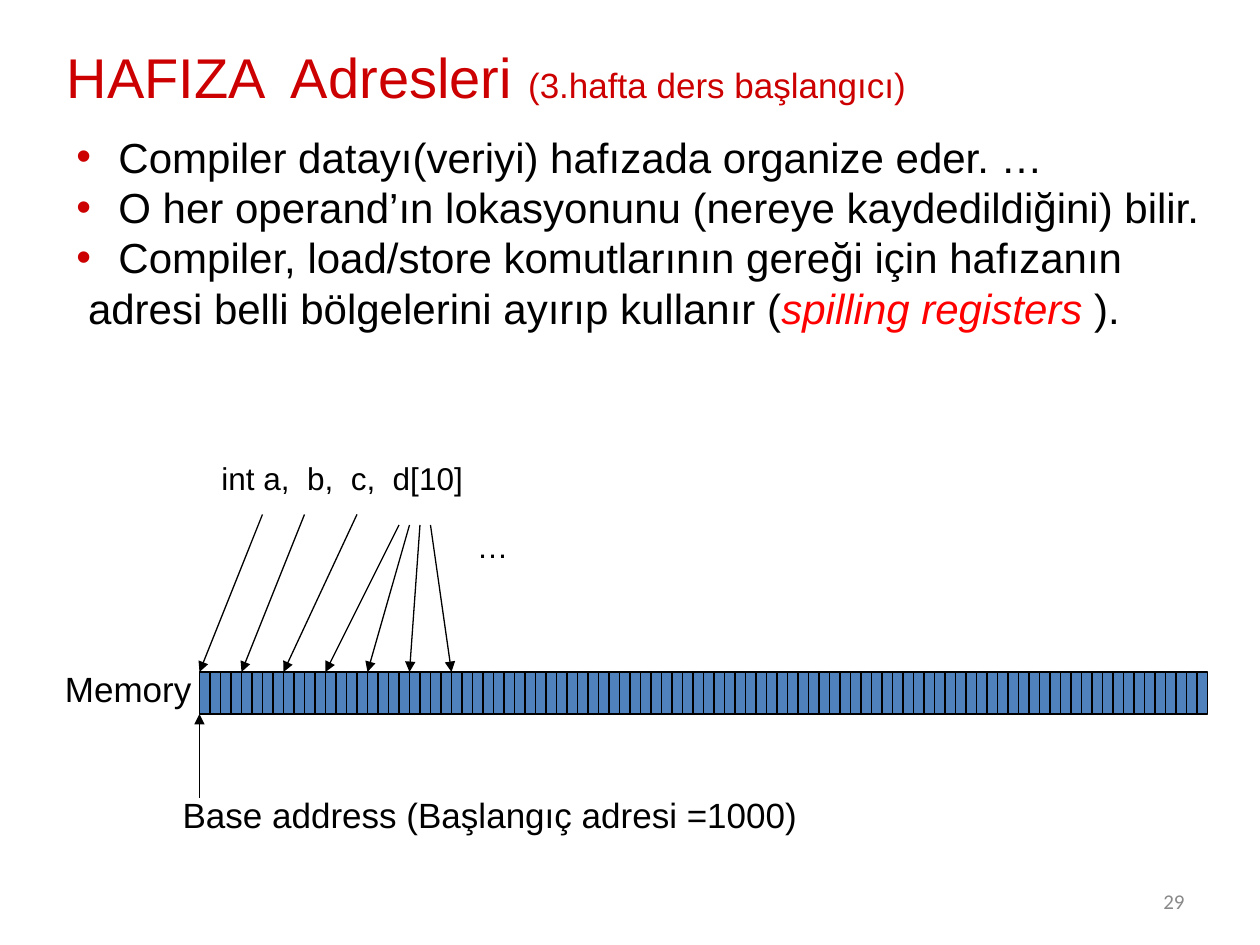
from lxml.etree import SubElement
from pptx import Presentation
from pptx.dml.color import RGBColor
from pptx.enum.shapes import MSO_CONNECTOR, MSO_SHAPE
from pptx.enum.text import MSO_ANCHOR, MSO_AUTO_SIZE, PP_ALIGN
from pptx.oxml.ns import qn
from pptx.util import Inches, Pt

COLORS = {"title": "CC0000", "text": "000000", "term": "FF0000",
          "cell": "4F81BD", "line": "000000", "number": "898989"}

# Content: a paragraph is a list of (text, size, color, italic) runs
TITLE = [("HAFIZA  Adresleri ", 32, "title", False),
         ("(3.hafta ders başlangıcı)", 20, "title", False)]
BULLETS = [
    "Compiler datayı(veriyi) hafızada organize eder. …",
    "O her operand’ın lokasyonunu (nereye kaydedildiğini) bilir.",
    "Compiler, load/store komutlarının gereği için hafızanın",
]
CONTINUATION = [("adresi belli bölgelerini ayırıp kullanır (", 24, "text", False),
                ("spilling registers ", 24, "term", True),
                (").", 24, "text", False)]

# Grid: 120 columns by 90 rows, one memory cell is one column wide
COLS, ROWS = 120, 90
UNIT = Inches(10) / COLS
BULLET_INDENT, CONTINUATION_INDENT = 4, 1.1

# Diagram labels: text, size, (left, top, width, height) on the grid
LABELS = [
    ("Memory", 20, (5, 63, 15.5, 5.25)),
    ("…", 18, (44.25, 49.6, 6, 4.85)),
    ("Base address (Başlangıç adresi =1000)", 20, (16.2, 75, 62, 5.25)),
    ("int a,  b,  c,  d[10]", 18, (19.9, 43.1, 27, 4.85)),
]

# Memory row, and where each variable's arrow starts (column, row)
MEM_LEFT, MEM_TOP, MEM_HEIGHT, MEM_CELLS = 19, 64, 4, 96
CELLS_PER_INT = 4
ARROW_STARTS = [(25, 49), (29, 49), (34, 49), (38, 50), (39, 50), (40, 50), (41, 50)]
BASE_ROW = 76


def grid(*values):
    return [round(v * UNIT) for v in values]


def rgb(name):
    return RGBColor.from_string(COLORS[name])


def add_text(s, box, paragraphs, font="Arial"):
    tf = s.shapes.add_textbox(*grid(*box)).text_frame
    tf.word_wrap = True
    tf.auto_size = MSO_AUTO_SIZE.NONE
    for i, runs in enumerate(paragraphs):
        p = tf.paragraphs[0] if i == 0 else tf.add_paragraph()
        for text, size, color, italic in runs:
            r = p.add_run()
            r.text = text
            r.font.name, r.font.size, r.font.italic = font, Pt(size), italic
            r.font.color.rgb = rgb(color)
    return tf


def indent(p, margin, bullet=False):
    pPr = p._p.get_or_add_pPr()
    width, = grid(margin)
    pPr.set("marL", str(width))
    pPr.set("indent", str(-width if bullet else 0))
    if bullet:
        clr = SubElement(pPr, qn("a:buClr"))
        SubElement(clr, qn("a:srgbClr")).set("val", COLORS["title"])
        SubElement(pPr, qn("a:buFont")).set("typeface", "Arial")
        SubElement(pPr, qn("a:buChar")).set("char", "•")


def add_arrow(s, start, end):
    line = s.shapes.add_connector(MSO_CONNECTOR.STRAIGHT, *grid(*start, *end))
    line.line.color.rgb = rgb("line")
    line.line.width = Pt(0.75)
    SubElement(line.line._get_or_add_ln(), qn("a:tailEnd")).set("type", "triangle")
    SubElement(line._element.spPr, qn("a:effectLst"))


def main():
    prs = Presentation()
    prs.slide_width, prs.slide_height = grid(COLS, ROWS)
    s = prs.slides.add_slide(prs.slide_layouts[6])

    # Title and bullets
    add_text(s, (5.2, 3.5, 85, 7.7), [TITLE])
    body = [[(text, 24, "text", False)] for text in BULLETS] + [CONTINUATION]
    tf = add_text(s, (6.1, 11.9, 111, 20.4), body)
    for p in tf.paragraphs[:-1]:
        indent(p, BULLET_INDENT, bullet=True)
    indent(tf.paragraphs[-1], CONTINUATION_INDENT)

    # Memory cells
    for i in range(MEM_CELLS):
        sp = s.shapes.add_shape(MSO_SHAPE.RECTANGLE,
                                *grid(MEM_LEFT + i, MEM_TOP, 1, MEM_HEIGHT))
        sp.shadow.inherit = False
        sp.fill.solid()
        sp.fill.fore_color.rgb = rgb("cell")
        sp.line.color.rgb = rgb("line")
        sp.line.width = Pt(0.75)

    # Arrows from the variables and to the base address
    for i, start in enumerate(ARROW_STARTS):
        add_arrow(s, start, (MEM_LEFT + i * CELLS_PER_INT, MEM_TOP))
    add_arrow(s, (MEM_LEFT, BASE_ROW), (MEM_LEFT, MEM_TOP + MEM_HEIGHT))

    # Diagram labels
    for text, size, box in LABELS:
        add_text(s, box, [[(text, size, "text", False)]])

    # Slide number
    tf = add_text(s, (86, 83.4, 28, 4.8), [[("29", 12, "number", False)]],
                  font="Calibri")
    tf.vertical_anchor = MSO_ANCHOR.MIDDLE
    tf.paragraphs[0].alignment = PP_ALIGN.RIGHT

    prs.save("out.pptx")


if __name__ == "__main__":
    main()
